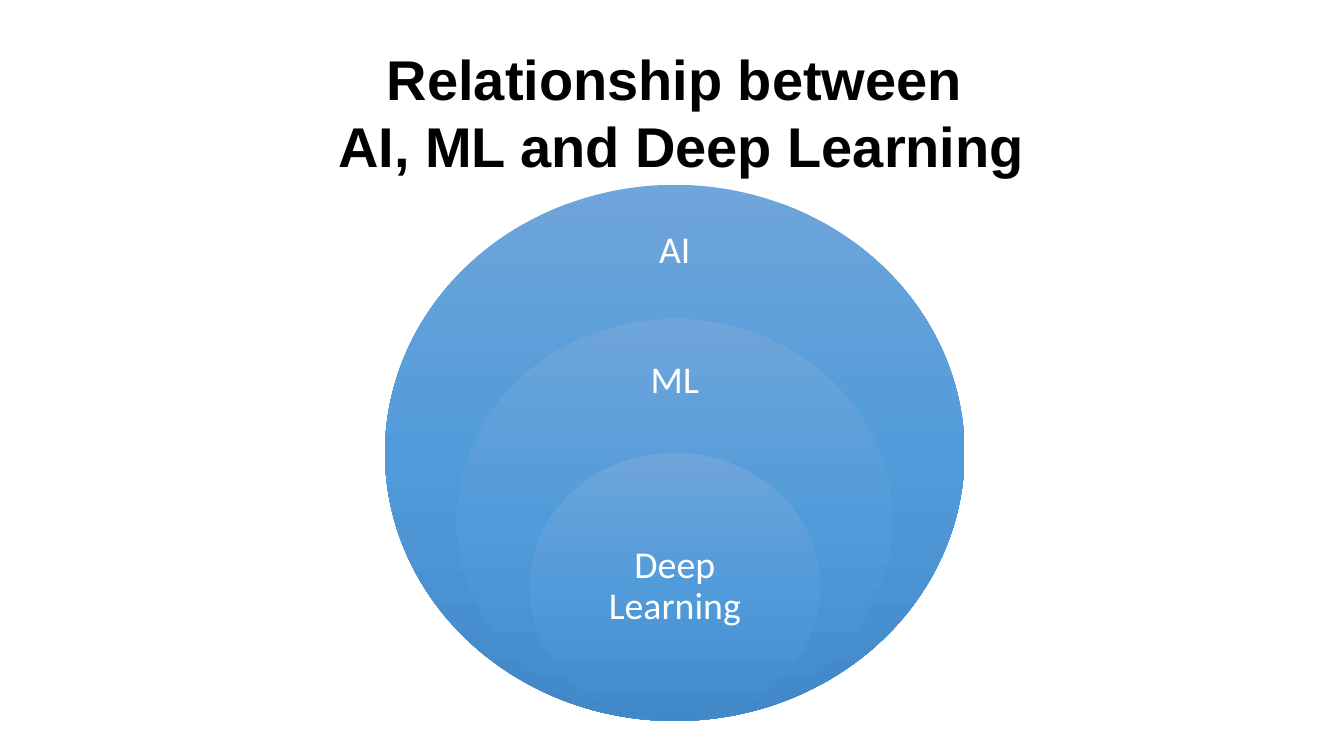
"""Build a slide of nested circles relating AI, ML and Deep Learning."""
from copy import deepcopy
from dataclasses import dataclass

from pptx import Presentation
from pptx.dml.color import RGBColor
from pptx.enum.shapes import MSO_SHAPE
from pptx.enum.text import MSO_ANCHOR, MSO_AUTO_SIZE, PP_ALIGN
from pptx.oxml.ns import qn
from pptx.shapes.autoshape import Shape
from pptx.slide import Slide
from pptx.text.text import TextFrame
from pptx.util import Pt

BLACK = RGBColor(0x00, 0x00, 0x00)
WHITE = RGBColor(0xFF, 0xFF, 0xFF)
GRADIENT = (
    (0, RGBColor(0x6E, 0xA5, 0xDA)),
    (0.5, RGBColor(0x52, 0x9B, 0xDA)),
    (1, RGBColor(0x41, 0x88, 0xC8)),
)
CENTER_X = 482
CIRCLE_BOTTOM = 515
OUTER_WIDTH = 414
OUTER_HEIGHT = 383
LABEL_WIDTH = 146


@dataclass(frozen=True)
class Ring:
    label: str
    scale: float
    label_top: float
    label_height: float


RINGS = (
    Ring("AI", 1, 150.5, 57.5),
    Ring("ML", 0.75, 245.5, 54),
    Ring("Deep Learning", 0.5, 371, 96),
)


def write_text(frame: TextFrame, text: str, *, font: str, size: float,
               color: RGBColor, bold: bool = False, wrap: bool = True,
               line_spacing: float = 1.0, inset: float = 7.2) -> None:
    frame.text = text
    frame.word_wrap = wrap
    frame.auto_size = MSO_AUTO_SIZE.NONE
    frame.vertical_anchor = MSO_ANCHOR.MIDDLE
    frame.margin_left = frame.margin_right = Pt(inset)
    frame.margin_top = frame.margin_bottom = Pt(inset)
    for paragraph in frame.paragraphs:
        paragraph.alignment = PP_ALIGN.CENTER
        paragraph.line_spacing = line_spacing
        for run in paragraph.runs:
            run.font.name = font
            run.font.size = Pt(size)
            run.font.bold = bold
            run.font.color.rgb = color


def fill_gradient(shape: Shape) -> None:
    shape.fill.gradient()
    shape.fill.gradient_angle = 270
    stop_list = next(shape.element.iter(qn("a:gsLst")))
    stop_list.insert(1, deepcopy(stop_list[0]))
    for stop, (position, color) in zip(shape.fill.gradient_stops, GRADIENT):
        stop.position = position
        stop.color.rgb = color


def add_ring(slide: Slide, ring: Ring) -> None:
    width, height = OUTER_WIDTH * ring.scale, OUTER_HEIGHT * ring.scale
    circle = slide.shapes.add_shape(
        MSO_SHAPE.OVAL, Pt(CENTER_X - width / 2), Pt(CIRCLE_BOTTOM - height),
        Pt(width), Pt(height))
    circle.shadow.inherit = False
    circle.line.fill.background()
    fill_gradient(circle)
    label = slide.shapes.add_textbox(
        Pt(CENTER_X - LABEL_WIDTH / 2), Pt(ring.label_top),
        Pt(LABEL_WIDTH), Pt(ring.label_height))
    write_text(label.text_frame, ring.label, font="Calibri", size=27,
               color=WHITE, line_spacing=0.9, inset=15)


def add_title(slide: Slide) -> None:
    title = slide.shapes.title
    title.left, title.top = Pt(221), Pt(27.5)
    title.width, title.height = Pt(521.5), Pt(104.5)
    write_text(title.text_frame,
               "Relationship between\n AI, ML and Deep Learning",
               font="Arial", size=40, color=BLACK, bold=True, wrap=False,
               line_spacing=Pt(48))


def main() -> None:
    presentation = Presentation()
    presentation.slide_width, presentation.slide_height = Pt(960), Pt(540)
    slide = presentation.slides.add_slide(presentation.slide_layouts[5])
    for ring in RINGS:
        add_ring(slide, ring)
    add_title(slide)
    presentation.save("out.pptx")


if __name__ == "__main__":
    main()
